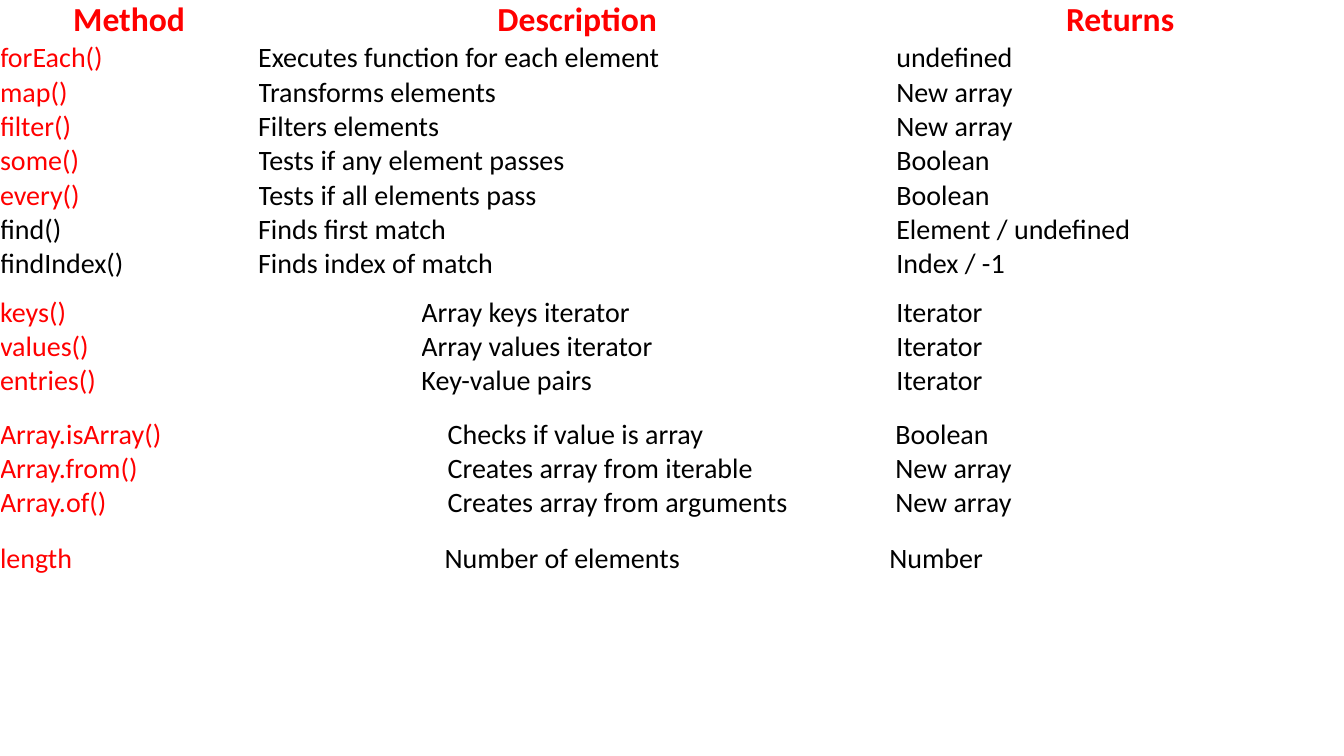
from pptx import Presentation
from pptx.dml.color import RGBColor
from pptx.enum.text import MSO_ANCHOR, PP_ALIGN
from pptx.util import Inches, Pt

MIDDLE = MSO_ANCHOR.MIDDLE
CENTER, LEFT = PP_ALIGN.CENTER, PP_ALIGN.LEFT
RED, BLACK = "FF0000", "000000"
HEADER = ("Method", "Description", "Returns")
BLACK_METHODS = ("find()", "findIndex()")


def color(hex_value):
    return RGBColor.from_string(hex_value)


def fill_cell(cell, text, hex_value, is_header):
    cell.fill.background()
    cell.vertical_anchor = MIDDLE
    cell.margin_left = cell.margin_right = cell.margin_top = cell.margin_bottom = 0
    cell.text_frame.text = text
    paragraph = cell.text_frame.paragraphs[0]
    paragraph.alignment = CENTER if is_header else LEFT
    font = paragraph.runs[0].font
    font.name = "Calibri"
    font.size = Pt(24 if is_header else 20)
    font.bold = is_header
    font.color.rgb = color(hex_value)


# Method groups: top, frame height, row height, column widths, rows
iteration = [
    HEADER,
    ("forEach()", "Executes function for each element", "undefined"),
    ("map()", "Transforms elements", "New array"),
    ("filter()", "Filters elements", "New array"),
    ("some()", "Tests if any element passes", "Boolean"),
    ("every()", "Tests if all elements pass", "Boolean"),
    ("find()", "Finds first match", "Element / undefined"),
    ("findIndex()", "Finds index of match", "Index / -1"),
]
iterators = [
    ("keys()", "Array keys iterator", "Iterator"),
    ("values()", "Array values iterator", "Iterator"),
    ("entries()", "Key-value pairs", "Iterator"),
]
static_methods = [
    ("Array.isArray()", "Checks if value is array", "Boolean"),
    ("Array.from()", "Creates array from iterable", "New array"),
    ("Array.of()", "Creates array from arguments", "New array"),
]
properties = [("length", "Number of elements", "Number")]
groups = [
    (0, 3.3, 0.3, (2.56, 6.33, 4.44), iteration),
    (2.93, 0.86, 0.22, (4.18, 4.71, 4.44), iterators),
    (4.14, 0.74, 0.18, (4.44, 4.44, 4.44), static_methods),
    (5.34, 0.4, 0.4, (4.41, 4.41, 4.41), properties),
]

# Slide
prs = Presentation()
prs.slide_width, prs.slide_height = Inches(13.33), Inches(7.5)
slide = prs.slides.add_slide(prs.slide_layouts[6])

# One table per group
for top, height, row_height, widths, methods in groups:
    frame = slide.shapes.add_table(len(methods), len(widths), 0, Inches(top),
                                   Inches(sum(widths)), Inches(height))
    table = frame.table
    table.first_row = table.horz_banding = False
    for column, width in zip(table.columns, widths):
        column.width = Inches(width)
    for row, texts in zip(table.rows, methods):
        row.height = Inches(row_height)
        is_header = texts == HEADER
        for index, (cell, text) in enumerate(zip(row.cells, texts)):
            is_red = is_header or (index == 0 and text not in BLACK_METHODS)
            fill_cell(cell, text, RED if is_red else BLACK, is_header)
    frame.height = Inches(height)

prs.save("out.pptx")
